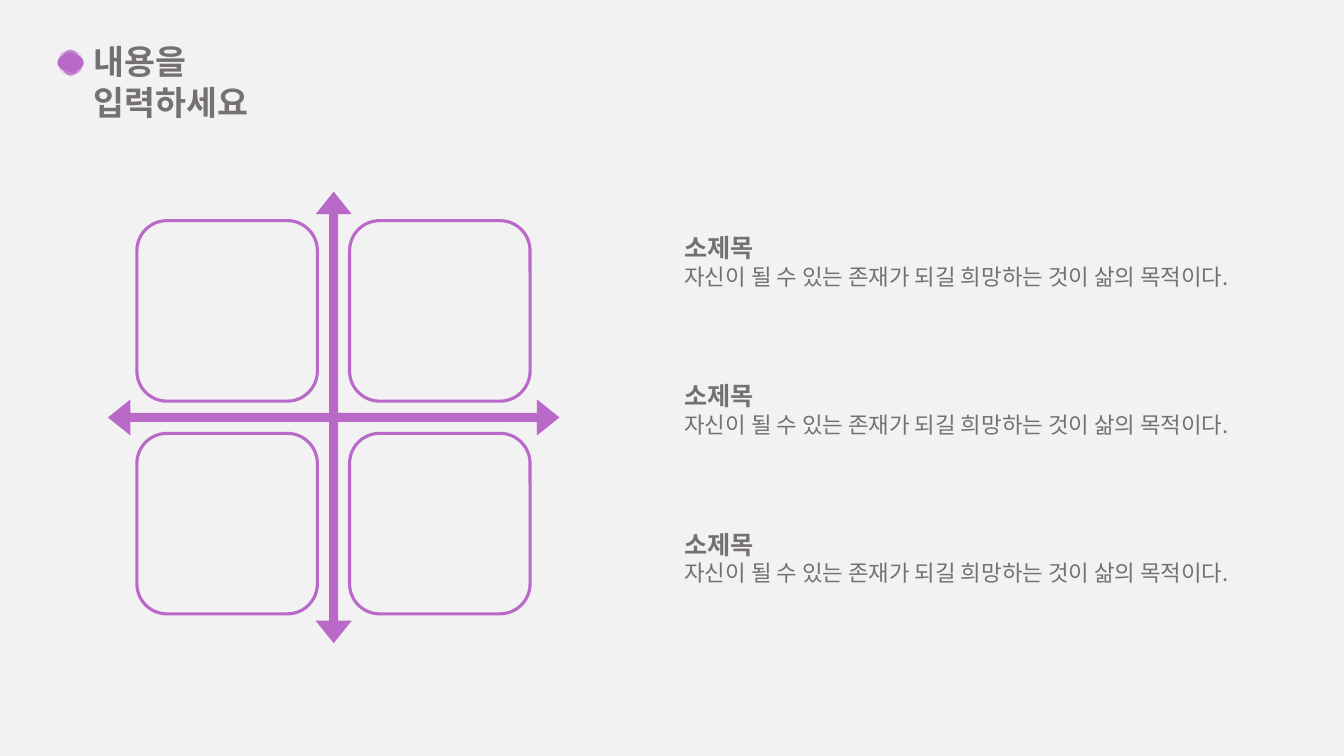
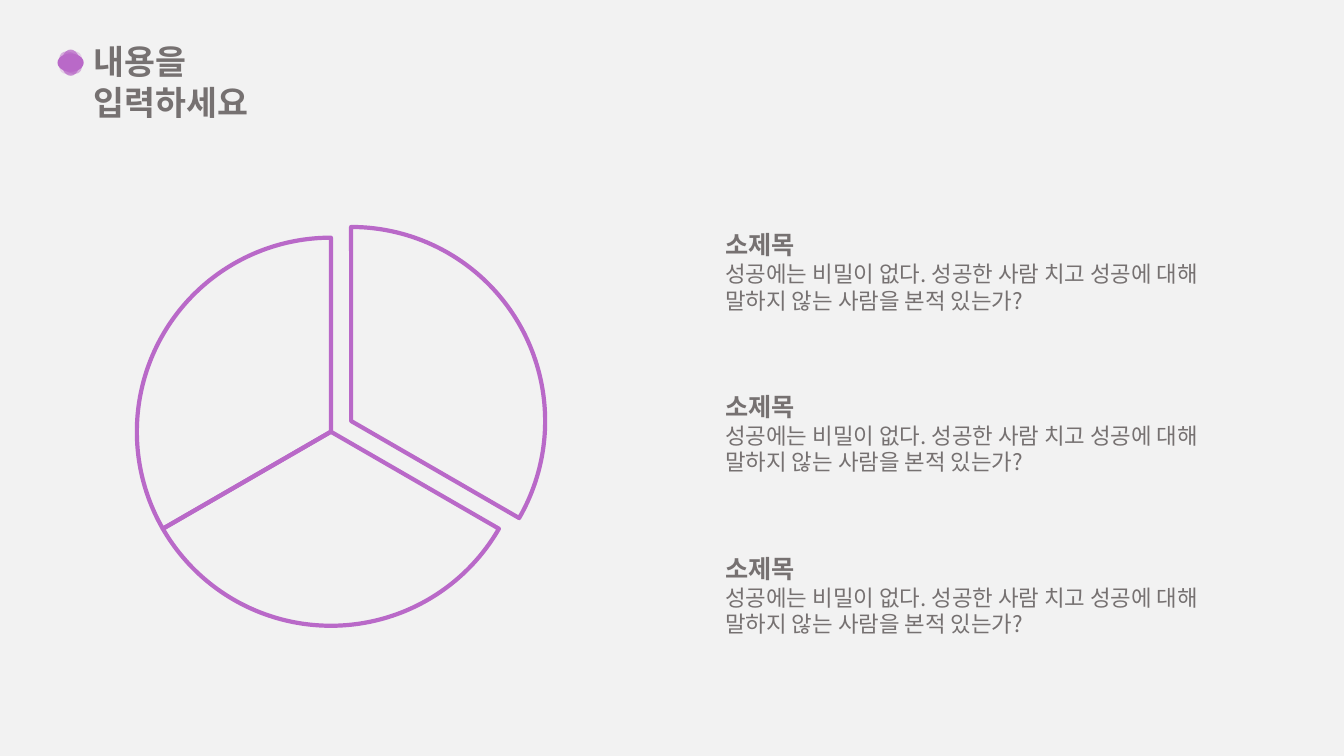
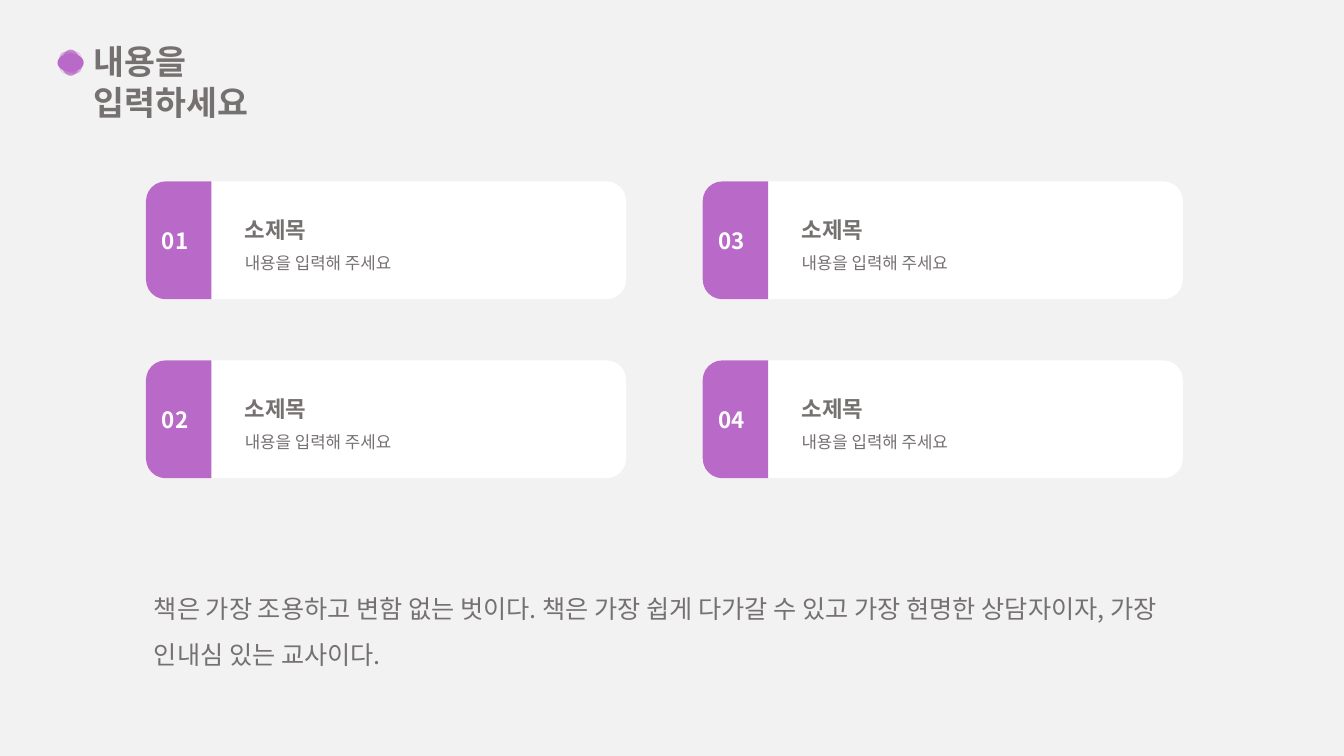
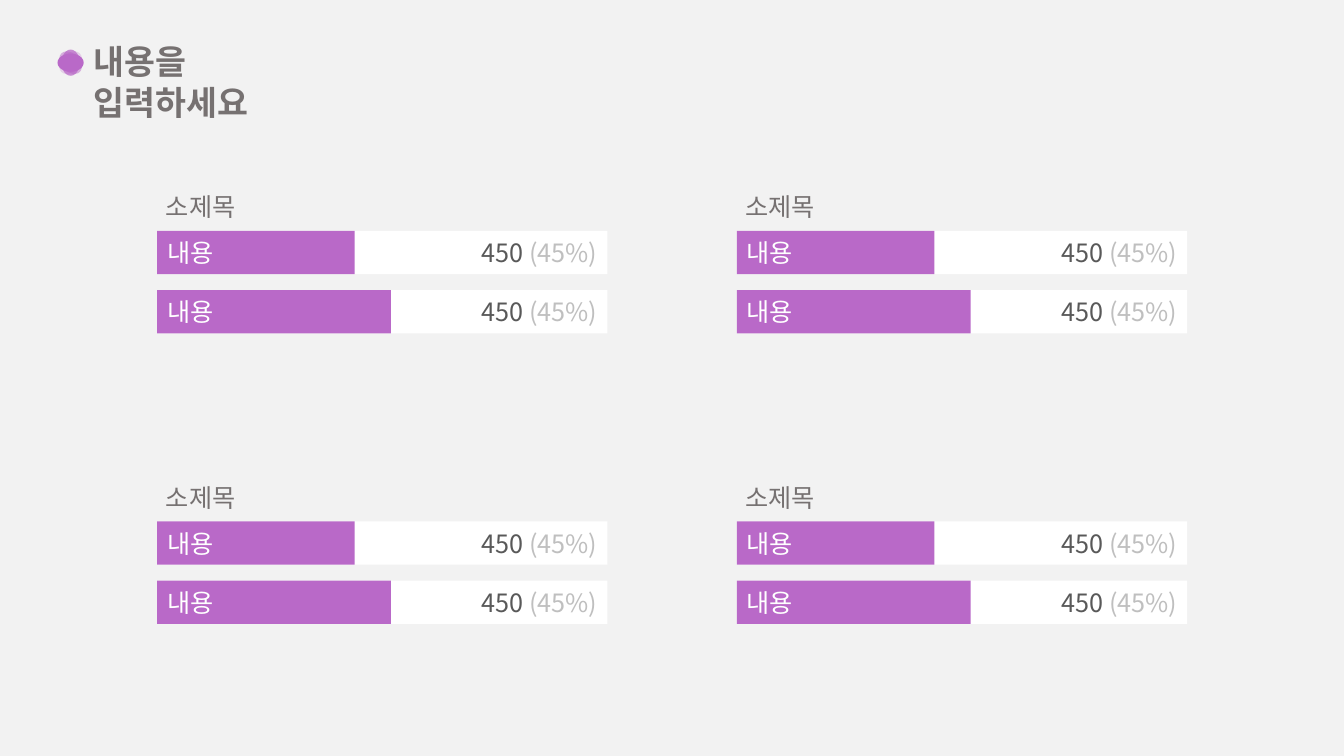
from itertools import product

from lxml import etree
from pptx import Presentation
from pptx.dml.color import RGBColor
from pptx.enum.shapes import MSO_SHAPE
from pptx.enum.text import MSO_ANCHOR, PP_ALIGN
from pptx.oxml.ns import qn
from pptx.util import Cm, Pt

OVAL, RECT, ROUND = MSO_SHAPE.OVAL, MSO_SHAPE.RECTANGLE, MSO_SHAPE.ROUNDED_RECTANGLE
CROSS, PIE, TAB = MSO_SHAPE.QUAD_ARROW, MSO_SHAPE.PIE, MSO_SHAPE.ROUND_2_SAME_RECTANGLE
TOP, MIDDLE = MSO_ANCHOR.TOP, MSO_ANCHOR.MIDDLE
LEFT, RIGHT = PP_ALIGN.LEFT, PP_ALIGN.RIGHT

FONT = "Noto Sans CJK KR"
PURPLE = RGBColor(0xB9, 0x69, 0xC8)
GRAY = RGBColor(0x76, 0x71, 0x71)
DARK = RGBColor(0x59, 0x59, 0x59)
PALE = RGBColor(0xBF, 0xBF, 0xBF)
WHITE = RGBColor(0xFF, 0xFF, 0xFF)
PAPER = RGBColor(0xF2, 0xF2, 0xF2)

TITLE = "내용을\v입력하세요"
HEAD = "소제목"
DOTS = [(90, 75), (45, 50), (315, 25), (0, 100)]
GOALS = ["자신이 될 수 있는 존재가 되길 희망하는 것이 삶의 목적이다."] * 3
SECRETS = ["성공에는 비밀이 없다. 성공한 사람 치고 성공에 대해 말하지 않는 사람을 본적 있는가?"] * 3
WEDGES = [(3.96, 5.72, 270, 30), (3.45, 5.99, 30, 150), (3.45, 5.99, 150, 270)]
CARDS = [("01", "내용을 입력해 주세요"), ("02", "내용을 입력해 주세요"),
         ("03", "내용을 입력해 주세요"), ("04", "내용을 입력해 주세요")]
QUOTE = ("책은 가장 조용하고 변함 없는 벗이다. 책은 가장 쉽게 다가갈 수 있고 "
         "가장 현명한 상담자이자, 가장 인내심 있는 교사이다.")
BARS = [("내용", "450 ", "(45%)", 4.98), ("내용", "450 ", "(45%)", 5.89)]


def style(run, size, color, bold=False):
    font = run.font
    font.name, font.size, font.bold = FONT, Pt(size), bold
    font.color.rgb = color
    etree.SubElement(run._r.get_or_add_rPr(), qn("a:ea")).set("typeface", FONT)


def write(frame, lines):
    frame.word_wrap = True
    for i, (text, size, color, bold, space) in enumerate(lines):
        para = frame.add_paragraph() if i else frame.paragraphs[0]
        para.text = text
        para.alignment = LEFT
        para.line_spacing = space
        for run in para.runs:
            style(run, size, color, bold)


def add_text(slide, x, y, w, h, lines):
    box = slide.shapes.add_textbox(Cm(x), Cm(y), Cm(w), Cm(h))
    write(box.text_frame, lines)


def draw(shapes, kind, x, y, w, h, fill=None, line=None, adjust=()):
    shape = shapes.add_shape(kind, Cm(x), Cm(y), Cm(w), Cm(h))
    shape.shadow.inherit = False
    if fill is None:
        shape.fill.background()
    else:
        shape.fill.solid()
        shape.fill.fore_color.rgb = fill
    if line:
        shape.line.color.rgb = PURPLE
        shape.line.width = Pt(line)
    else:
        shape.line.fill.background()
    for i, value in enumerate(adjust):
        shape.adjustments[i] = value
    return shape


def add_slide(prs):
    slide = prs.slides.add_slide(prs.slide_layouts[5])
    title = slide.shapes.title
    title.left, title.top, title.width, title.height = Cm(2.11), Cm(0.91), Cm(6.96), Cm(2.3)
    title.text_frame.vertical_anchor = TOP
    write(title.text_frame, [(TITLE, 24, GRAY, True, 1.0)])
    group = slide.shapes.add_group_shape()
    for turn, alpha in DOTS:
        dot = draw(group.shapes, OVAL, 1.45, 1.35, 0.66, 0.46, PURPLE)
        dot.rotation = turn
        if alpha < 100:
            tint = dot.fill._xPr.find(".//" + qn("a:srgbClr"))
            etree.SubElement(tint, qn("a:alpha")).set("val", str(alpha * 1000))
    return slide


def add_notes(slide, items, x, y, w, h, step):
    for i, body in enumerate(items):
        add_text(slide, x, y + i * step, w, h,
                 [(HEAD, 18, GRAY, True, 1.5), (body, 16, GRAY, False, 1.0)])


def matrix_slide(prs):
    slide = add_slide(prs)
    group = slide.shapes.add_group_shape()
    draw(group.shapes, CROSS, 2.72, 4.83, 11.38, 11.38, PURPLE, adjust=(0.02, 0.04, 0.05))
    for row, col in product(range(2), repeat=2):
        draw(group.shapes, ROUND, 3.45 + col * 5.36, 5.56 + row * 5.36, 4.55, 4.55, line=2.25)
    add_notes(slide, GOALS, 17, 5.36, 15.36, 2.08, 3.73)


def pie_slide(prs):
    slide = add_slide(prs)
    group = slide.shapes.add_group_shape()
    for x, y, start, end in WEDGES:
        draw(group.shapes, PIE, x, y, 9.78, 9.78, line=3, adjust=(start * 0.6, end * 0.6))
    add_notes(slide, SECRETS, 18.03, 5.28, 13, 2.77, 4.08)


def card_slide(prs):
    slide = add_slide(prs)
    wide, high, tab = 12.1, 2.97, 1.65
    for i, (number, body) in enumerate(CARDS):
        col, row = divmod(i, 2)
        x, y = 3.68 + col * 14.03, 4.57 + row * 4.51
        draw(slide.shapes, ROUND, x, y, wide, high, WHITE)
        inset = (high - tab) / 2
        side = draw(slide.shapes, TAB, x - inset, y + inset, high, tab, PURPLE, adjust=(0.3, 0))
        side.rotation = 270
        add_text(slide, x + 2.24, y + 0.41, 9.09, 2.06,
                 [(HEAD, 16, GRAY, True, 1.5), (body, 12, GRAY, False, 1.5)])
        add_text(slide, x + 0.15, y + 1.02, 1.4, 0.94, [(number, 16, WHITE, True, 1.0)])
    add_text(slide, 3.63, 14.45, 26.5, 2.46, [(QUOTE, 18, GRAY, False, 1.5)])


def bar_slide(prs):
    slide = add_slide(prs)
    for col, row in product(range(2), repeat=2):
        x, y = 3.96 + col * 14.61, 4.7 + row * 7.32
        add_text(slide, x - 0.03, y, 2.6, 1.02, [(HEAD, 18, GRAY, False, 1.0)])
        for i, (label, count, share, width) in enumerate(BARS):
            top = y + 1.12 + i * 1.49
            track = draw(slide.shapes, RECT, x, top, 11.35, 1.09, WHITE)
            track.text_frame.vertical_anchor = MIDDLE
            para = track.text_frame.paragraphs[0]
            para.alignment = RIGHT
            for text, color in ((count, DARK), (share, PALE)):
                run = para.add_run()
                run.text = text
                style(run, 18, color)
            bar = draw(slide.shapes, RECT, x, top, width, 1.09, PURPLE)
            bar.text_frame.vertical_anchor = MIDDLE
            write(bar.text_frame, [(label, 18, WHITE, False, 1.0)])


def main():
    prs = Presentation()
    prs.slide_width, prs.slide_height = Cm(33.87), Cm(19.05)
    paper = prs.slide_master.background.fill
    paper.solid()
    paper.fore_color.rgb = PAPER
    for build in (matrix_slide, pie_slide, card_slide, bar_slide):
        build(prs)
    prs.save("out.pptx")


if __name__ == "__main__":
    main()
